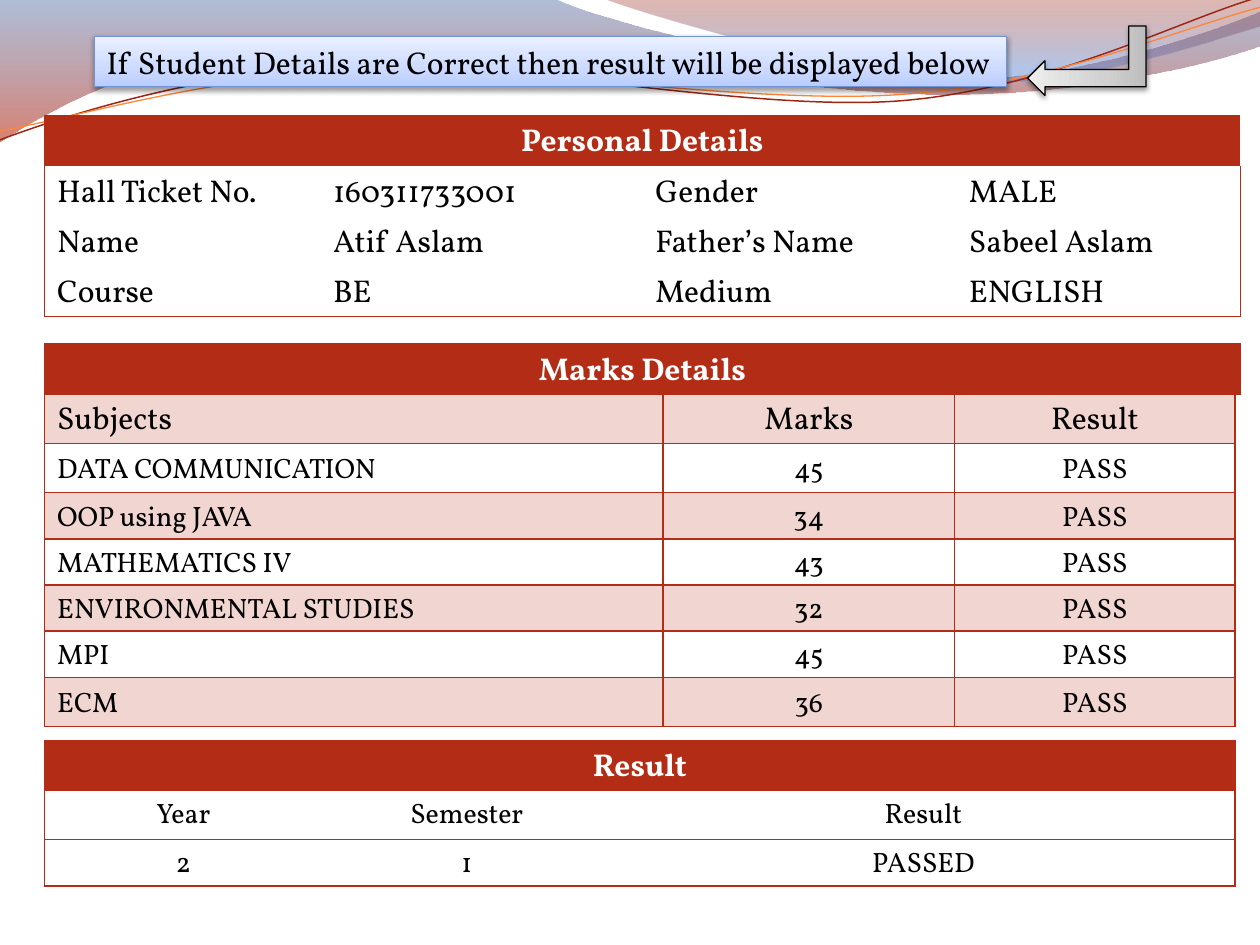
from lxml import etree
from pptx import Presentation
from pptx.dml.color import RGBColor
from pptx.enum.shapes import MSO_SHAPE
from pptx.enum.text import MSO_ANCHOR, PP_ALIGN
from pptx.oxml.ns import qn
from pptx.util import Cm, Pt

LEFT, CENTER = PP_ALIGN.LEFT, PP_ALIGN.CENTER
TOP, MIDDLE = MSO_ANCHOR.TOP, MSO_ANCHOR.MIDDLE
RECTANGLE, BENT_ARROW = MSO_SHAPE.RECTANGLE, MSO_SHAPE.BENT_UP_ARROW
PLAIN_TABLE = "{2D5ABB26-0587-4C30-8999-92F81FD0307C}"
RED, BAND, WHITE, BLACK = "B32C16", "F0D5D0", "FFFFFF", "000000"
BODY = {"name": "Vollkorn", "size": Pt(18), "bold": False}
SMALL = {**BODY, "size": Pt(16)}
TITLE = {**BODY, "bold": True}
TABLE_LEFT = 0.9

BLUE_WAVE = [
    (0, 0), (11.18, -0.03),
    (12.09, 0.43, 16.87, 1.6, 19.25, 1.6), (21.67, 1.6, 24.33, 0.66, 25.4, 0.23),
    (25.43, 0.91),
    (24.97, 1.12, 22.1, 1.93, 18.95, 1.9), (15.8, 1.9, 9.7, 0.71, 6.53, 0.86),
    (3.28, 0.91, 1.17, 2.11, -0.03, 2.87),
]
RED_WAVE = [
    (12.17, -0.03),
    (12.93, 0.28, 17.32, 1.57, 19.53, 1.65), (21.74, 1.75, 24.41, 0.81, 25.4, 0.53),
    (25.4, 0),
]
DARK_STRAND = [
    (-0.05, 2.22),
    (1.19, 1.82, 4.02, 1.04, 7.05, 1.05), (10.05, 1.07, 15.02, 2.37, 18.08, 2.29),
    (21.13, 2.2, 23.87, 0.91, 25.41, 0.55),
]
ORANGE_STRAND = [
    (-0.04, 2.04),
    (1.16, 1.9, 4.18, 1.15, 7.2, 1.16), (10.25, 1.18, 15.13, 2.25, 18.19, 2.16),
    (21.21, 2.1, 23.93, 1.06, 25.45, 0.75),
]
PERSONAL = [
    ["Hall Ticket No.", "160311733001", "Gender", "MALE"],
    ["Name", "Atif Aslam", "Father’s Name", "Sabeel Aslam"],
    ["Course", "BE", "Medium", "ENGLISH"],
]
MARKS = [
    ("DATA COMMUNICATION", "45"), ("OOP using JAVA", "34"), ("MATHEMATICS IV", "43"),
    ("ENVIRONMENTAL STUDIES", "32"), ("MPI", "45"), ("ECM", "36"),
]


def color(value):
    """Turn a hex string into a colour."""
    return RGBColor.from_string(value)


def add_child(parent, tag, **attributes):
    """Append an XML element with attributes."""
    child = etree.SubElement(parent, qn(tag))
    for name, value in attributes.items():
        child.set(name, str(value))
    return child


def write_text(text_frame, text, formats, text_color, align):
    """Put one formatted paragraph in a text frame."""
    paragraph = text_frame.paragraphs[0]
    paragraph.alignment = align
    run = paragraph.add_run()
    run.text = text
    for name, value in formats.items():
        setattr(run.font, name, value)
    run.font.color.rgb = color(text_color)


def fill_gradient(shape, stops, angle):
    """Fill a shape with (position, colour, opacity) stops."""
    shape.fill.gradient()
    shape.fill.gradient_angle = angle
    stop_list = shape._element.spPr.find(".//" + qn("a:gsLst"))
    for stop in list(stop_list):
        stop_list.remove(stop)
    for position, value, opacity in stops:
        stop = add_child(stop_list, "a:gs", pos=position * 1000)
        add_child(add_child(stop, "a:srgbClr", val=value), "a:alpha", val=opacity * 1000)


def set_line(shape, value, width):
    """Set the outline colour and width."""
    shape.line.color.rgb = color(value)
    shape.line.width = Pt(width)


def add_outline(slide, segments, close):
    """Add a freeform of straight (x, y) and cubic (six number) segments."""
    points = [(Cm(segment[i]), Cm(segment[i + 1]))
              for segment in segments for i in range(0, len(segment), 2)]
    builder = slide.shapes.build_freeform(*points[0])
    builder.add_line_segments(points[1:], close=close)
    shape = builder.convert_to_shape()
    shape.shadow.inherit = False
    lines = iter(shape._element.spPr.findall(".//" + qn("a:lnTo")))
    for segment in segments[1:]:
        line = next(lines)
        if len(segment) == 6:
            line.tag = qn("a:cubicBezTo")
            for _ in range(2):
                extra = next(lines)
                line.append(extra[0])
                extra.getparent().remove(extra)
    return shape


def add_wave(slide, segments, stops):
    """Add a translucent gradient wave."""
    shape = add_outline(slide, segments, True)
    fill_gradient(shape, stops, 270)
    shape.line.fill.background()


def add_strand(slide, segments, value, width):
    """Add a thin curved line, slightly tilted."""
    shape = add_outline(slide, segments, False)
    shape.fill.background()
    shape.rotation = 357.3
    set_line(shape, value, width)


def add_raised_shape(slide, kind, box, colors, line_color):
    """Add a gradient shape with a soft shadow."""
    shape = slide.shapes.add_shape(kind, *map(Cm, box))
    fill_gradient(shape, [(p, c, 100) for p, c in zip((0, 35, 100), colors)], 90)
    set_line(shape, line_color, 0.75)
    shape.shadow.inherit = False
    effects = shape._element.spPr.find(qn("a:effectLst"))
    shadow = add_child(effects, "a:outerShdw", blurRad=Pt(3.1), dist=Pt(1.6),
                       dir=5400000, rotWithShape=0)
    add_child(add_child(shadow, "a:srgbClr", val=BLACK), "a:alpha", val=38000)
    return shape


def set_borders(cell, sides, width):
    """Draw red borders on the chosen sides of a cell."""
    properties = cell._tc.get_or_add_tcPr()
    for side in sides:
        line = add_child(properties, f"a:ln{side}", w=Pt(width))
        add_child(add_child(line, "a:solidFill"), "a:srgbClr", val=RED)


def add_grid(slide, top, columns, heights, rows, style, inner="", width=0.75):
    """Add a table; style(row, column) gives format, text colour, fill, alignment, anchor."""
    frame = slide.shapes.add_table(len(rows), len(columns), Cm(TABLE_LEFT), Cm(top),
                                   Cm(sum(columns)), Cm(sum(heights)))
    table = frame.table
    table.first_row = table.horz_banding = False
    table._tbl.tblPr.find(qn("a:tableStyleId")).text = PLAIN_TABLE
    for column, size in zip(table.columns, columns):
        column.width = Cm(size)
    for row, size in zip(table.rows, heights):
        row.height = Cm(size)
    for r, texts in enumerate(rows):
        for c in range(len(columns)):
            cell = table.cell(r, c)
            edges = {"L": c == 0, "R": c == len(columns) - 1,
                     "T": r == 0, "B": r == len(rows) - 1}
            set_borders(cell, [s for s, edge in edges.items() if edge or s in inner], width)
            formats, text_color, fill, align, anchor = style(r, c)
            cell.vertical_anchor = anchor
            cell.margin_bottom = Cm(0)
            if fill:
                cell.fill.solid()
                cell.fill.fore_color.rgb = color(fill)
            else:
                cell.fill.background()
            if c < len(texts):
                write_text(cell.text_frame, texts[c], formats, text_color, align)
        if len(texts) < len(columns):
            table.cell(r, 0).merge(table.cell(r, len(columns) - 1))


def title_style(row, column):
    """Style a red title cell."""
    return TITLE, WHITE, RED, CENTER, TOP


def personal_style(row, column):
    """Style the personal details."""
    return (BODY, BLACK, None, LEFT, TOP) if row else title_style(row, column)


def marks_style(row, column):
    """Style the banded marks."""
    return (SMALL if row else BODY, BLACK, None if row % 2 else BAND,
            CENTER if column else LEFT, MIDDLE)


def result_style(row, column):
    """Style the final result."""
    return SMALL, BLACK, WHITE, CENTER, TOP


def main():
    """Build the student result slide."""
    presentation = Presentation()
    presentation.slide_width, presentation.slide_height = Cm(25.4), Cm(19.05)
    slide = presentation.slides.add_slide(presentation.slide_layouts[6])
    add_wave(slide, BLUE_WAVE, [(0, "4F6EA8", 45), (100, "B61A00", 55)])
    add_wave(slide, RED_WAVE, [(0, "951500", 30), (80, "5681D1", 45)])
    add_strand(slide, DARK_STRAND, "9E2713", 0.85)
    add_strand(slide, ORANGE_STRAND, "FE8637", 0.75)
    arrow = add_raised_shape(slide, BENT_ARROW, (21.21, 0.03, 1.4, 2.39),
                             ("BDBDBD", "D1D1D1", "EEEEEE"), BLACK)
    arrow.rotation = 90
    arrow._element.spPr.xfrm.set("flipV", "1")
    banner = add_raised_shape(slide, RECTANGLE, (1.9, 0.73, 18.39, 1.02),
                              ("B8CCFF", "CCDAFF", "EBF1FF"), "7094D7")
    banner.text_frame.word_wrap = False
    write_text(banner.text_frame,
               "If Student Details are Correct then result will be displayed below",
               BODY, BLACK, LEFT)
    add_grid(slide, 7.93, [12.47, 5.87, 5.66], [0.99] * 2 + [0.93] * 4 + [0.99],
             [("Subjects", "Marks", "Result")] + [(*mark, "PASS") for mark in MARKS],
             marks_style, "LRTB", 1)
    add_grid(slide, 2.33, [5.56, 6.5, 6.32, 5.72], [1.01] * 4,
             [["Personal Details"]] + PERSONAL, personal_style)
    add_grid(slide, 6.93, [24.1], [1.01], [["Marks Details"]], title_style)
    add_grid(slide, 14.93, [24], [1.01], [["Result"]], title_style)
    add_grid(slide, 15.93, [5.59, 5.84, 12.57], [0.99, 0.94],
             [["Year", "Semester", "Result"], ["2", "1", "PASSED"]], result_style, "TB", 1)
    presentation.save("out.pptx")


if __name__ == "__main__":
    main()
